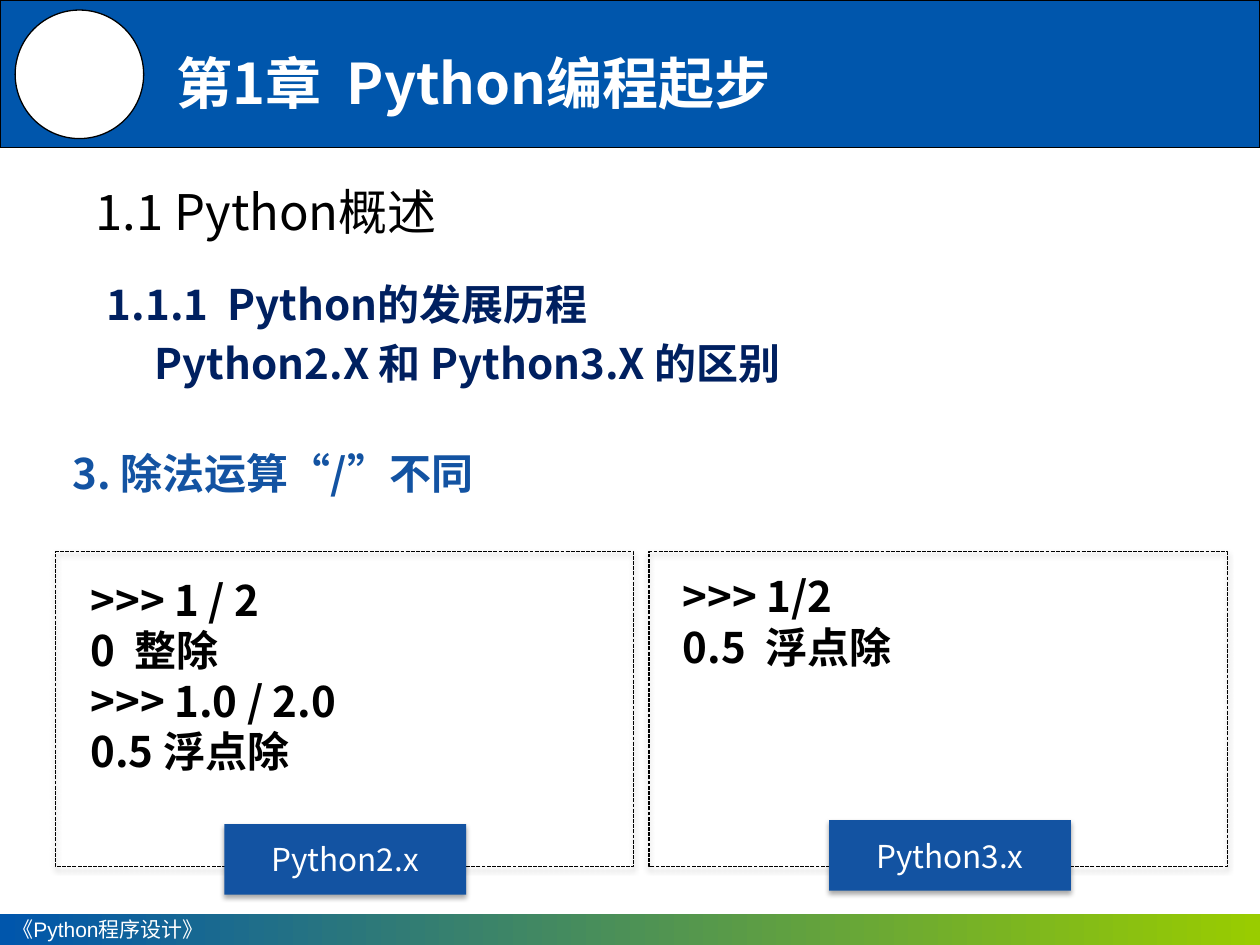
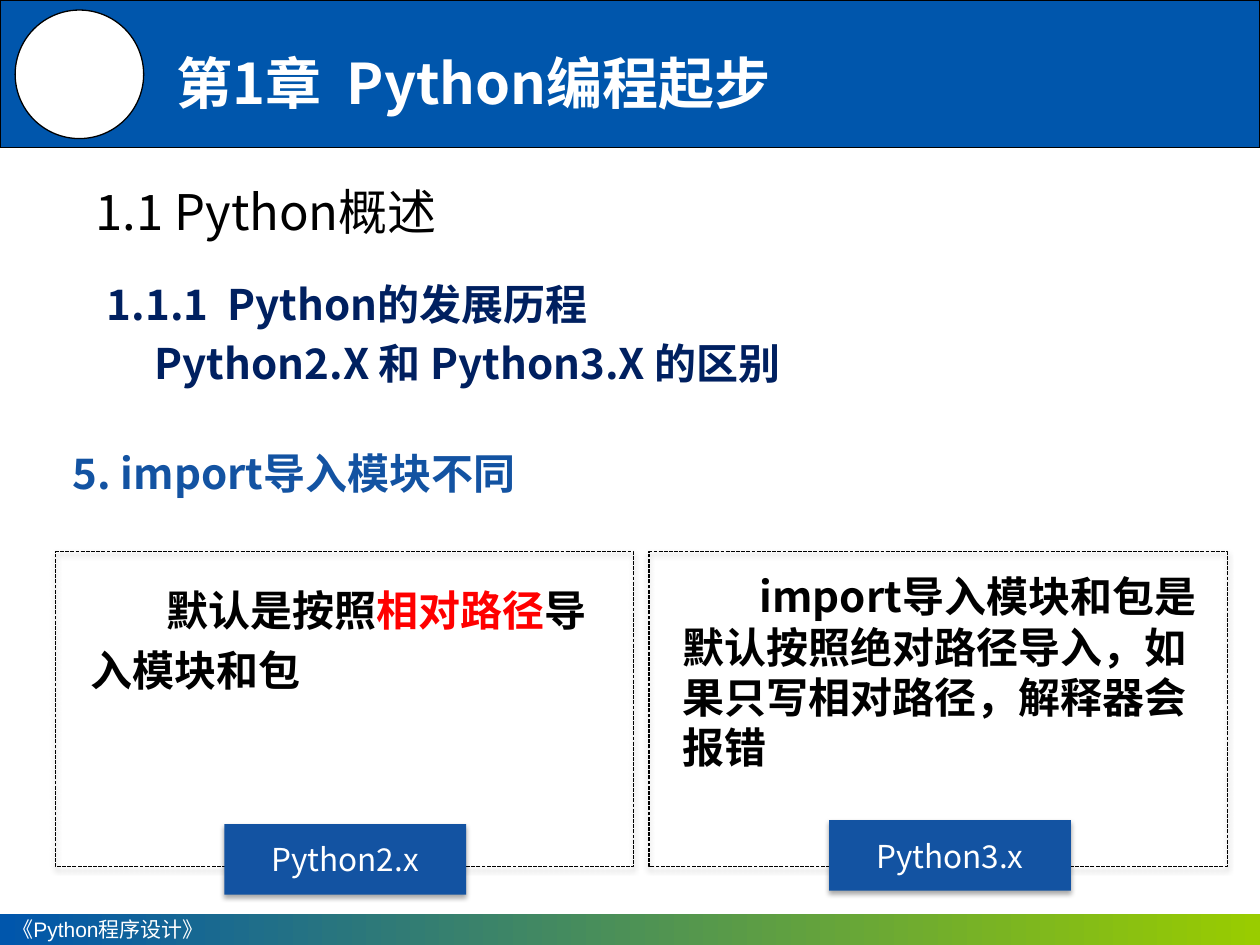
from dataclasses import dataclass

from lxml import etree
from pptx import Presentation
from pptx.dml.color import RGBColor
from pptx.enum.dml import MSO_LINE
from pptx.enum.shapes import MSO_SHAPE
from pptx.enum.text import MSO_ANCHOR, MSO_AUTO_SIZE, PP_ALIGN
from pptx.oxml import parse_xml
from pptx.oxml.ns import qn
from pptx.util import Inches, Pt

RECT, OVAL = MSO_SHAPE.RECTANGLE, MSO_SHAPE.OVAL
LEFT, CENTER = PP_ALIGN.LEFT, PP_ALIGN.CENTER
TOP, MIDDLE = MSO_ANCHOR.TOP, MSO_ANCHOR.MIDDLE
NO_AUTOFIT = MSO_AUTO_SIZE.NONE
DASHED = MSO_LINE.SQUARE_DOT

FONT, FOOTER_FONT = "Noto Sans CJK SC", "Arial"
COLORS = {
    "band": "0056AC",
    "lime": "99CC00",
    "navy": "002060",
    "blue": "1353A2",
    "black": "000000",
    "white": "FFFFFF",
    "red": "FF0000",
}
SHADOW = (
    '<a:effectLst xmlns:a="http://schemas.openxmlformats.org/drawingml/2006/main">'
    '<a:outerShdw blurRad="39370" dist="22860" dir="5400000" rotWithShape="0">'
    '<a:srgbClr val="000000"><a:alpha val="35000"/></a:srgbClr>'
    "</a:outerShdw></a:effectLst>"
)


@dataclass(frozen=True)
class Box:
    left: float
    top: float
    width: float
    height: float

    def lengths(self) -> list:
        return [Inches(v) for v in (self.left, self.top, self.width, self.height)]


@dataclass(frozen=True)
class Style:
    size: float
    color: str
    bold: bool = False
    font: str = FONT


@dataclass(frozen=True)
class Para:
    """A paragraph of (text, colour) pieces; an empty colour means the style's own."""
    pieces: tuple
    margin: float = 0
    indent: float = 0
    line_spacing: object = None
    space_before: float = 0


@dataclass(frozen=True)
class Comparison:
    """What one slide says about the two Python versions."""
    heading: str
    python2: list
    python3: list
    python3_width: float


CHAPTER = Style(32, "white", bold=True)
SECTION = Style(28, "black")
SUBSECTION = Style(24, "navy", bold=True)
HEADING = Style(24, "blue", bold=True)
CONTENT = Style(24, "black", bold=True)
LABEL = Style(18, "white")
FOOTER = Style(12, "white", font=FOOTER_FONT)

PANEL = Box(0.44, 4.38, 4.59, 2.5)
PANEL_STEP = 4.71
LABELS = {"Python2.x": (1.78, 6.54), "Python3.x": (6.58, 6.51)}


def plain(*lines: str) -> list:
    return [Para(((line, ""),)) for line in lines]


COMPARISONS = [
    Comparison(
        "3. 除法运算“/”不同",
        plain(">>> 1 / 2", "0  整除", ">>> 1.0 / 2.0", "0.5 浮点除"),
        plain(">>> 1/2", "0.5  浮点除"),
        4.59,
    ),
    Comparison(
        "5. import导入模块不同",
        [Para((("默认是按照", ""), ("相对路径", "red"), ("导入模块和包", "")),
              indent=0.6, line_spacing=1.2)],
        [Para((("import导入模块和包是默认按照绝对路径导入，如果只写相对路径，解释器会报错", ""),),
              indent=0.61)],
        4.3,
    ),
]


def rgb(name: str) -> RGBColor:
    return RGBColor.from_string(COLORS[name])


def write(sp, paras: list, style: Style, align=LEFT, anchor=TOP, wrap=True) -> None:
    tf = sp.text_frame
    tf.word_wrap = wrap
    tf.auto_size = NO_AUTOFIT
    tf.vertical_anchor = anchor
    for i, para in enumerate(paras):
        p = tf.add_paragraph() if i else tf.paragraphs[0]
        p.alignment = align
        p.space_before = Pt(para.space_before)
        if para.line_spacing:
            p.line_spacing = para.line_spacing
        if para.margin or para.indent:
            p_pr = p._p.get_or_add_pPr()
            p_pr.set("marL", str(Inches(para.margin)))
            p_pr.set("indent", str(Inches(para.indent)))
        for text, color in para.pieces:
            r = p.add_run()
            r.text = text
            r.font.size = Pt(style.size)
            r.font.bold = style.bold
            r.font.name = style.font
            r.font.color.rgb = rgb(color or style.color)
            ea = etree.SubElement(r.font._element, qn("a:ea"))
            ea.set("typeface", style.font)


def add_text(slide, box: Box, paras: list, style: Style, anchor=TOP):
    sp = slide.shapes.add_textbox(*box.lengths())
    write(sp, paras, style, anchor=anchor)
    return sp


def add_block(slide, kind, box: Box, fill: str = "", line: str = "", shadow=False):
    sp = slide.shapes.add_shape(kind, *box.lengths())
    if fill:
        sp.fill.solid()
        sp.fill.fore_color.rgb = rgb(fill)
    else:
        sp.fill.background()
    if line:
        sp.line.color.rgb = rgb(line)
        sp.line.width = Pt(0.75)
    else:
        sp.line.fill.background()
    if shadow:
        sp._element.spPr.append(parse_xml(SHADOW))
    else:
        sp.shadow.inherit = False
    return sp


def add_footer(slide):
    sp = add_block(slide, RECT, Box(0, 7.25, 10, 0.25), "band")
    sp.fill.gradient()
    sp.fill.gradient_angle = 0
    for stop, color in zip(sp.fill.gradient_stops, ("band", "lime")):
        stop.color.rgb = rgb(color)
    write(sp, plain("《Python程序设计》"), FOOTER, anchor=MIDDLE, wrap=False)
    return sp


def furnish_layout(layout, slide) -> None:
    """Draw the shared band, badge, chapter and footer, then hand them to the layout."""
    shared = [
        add_block(slide, RECT, Box(0, 0, 10, 1.17), "band", "black"),
        add_footer(slide),
        add_block(slide, OVAL, Box(0.12, 0.08, 1.02, 1.02), "white", "black"),
        add_text(slide, Box(1.3, 0.15, 6.46, 1), plain("第1章  Python编程起步"),
                 CHAPTER, MIDDLE),
    ]
    for shape_id, sp in enumerate(shared, start=101):
        sp._element.nvSpPr.cNvPr.set("id", str(shape_id))
        layout.shapes.element.append(sp._element)


def fill_slide(slide, comparison: Comparison) -> None:
    title = slide.shapes.title
    title.left, title.top, title.width, title.height = Box(0.66, 1.39, 4.11, 0.63).lengths()
    write(title, [Para((("1.1 Python概述", ""),), margin=0.38, indent=-0.38)], SECTION)

    add_text(slide, Box(0.75, 2.02, 5.78, 5.2), [
        Para((("1.1.1  Python的发展历程", ""),), line_spacing=Pt(39)),
        Para((("Python2.X 和 Python3.X 的区别", ""),), margin=0.38, space_before=4.8),
    ], SUBSECTION)
    add_text(slide, Box(0.48, 3.5, 9.04, 0.5), plain(comparison.heading), HEADING)

    for i in range(2):
        box = Box(PANEL.left + i * PANEL_STEP, PANEL.top, PANEL.width, PANEL.height)
        panel = add_block(slide, RECT, box, line="black", shadow=True)
        panel.line.dash_style = DASHED
    for name, (left, top) in LABELS.items():
        label = add_block(slide, RECT, Box(left, top, 1.92, 0.56), "blue", shadow=True)
        write(label, plain(name), LABEL, CENTER, MIDDLE)

    add_text(slide, Box(5.32, 4.48, comparison.python3_width, 1.72),
             comparison.python3, CONTENT)
    add_text(slide, Box(0.62, 4.51, 4.45, 1.72), comparison.python2, CONTENT)


def main() -> None:
    prs = Presentation()
    prs.slide_width, prs.slide_height = Inches(10), Inches(7.5)
    layout = prs.slide_layouts.get_by_name("Title Only")
    slides = [prs.slides.add_slide(layout) for _ in COMPARISONS]
    furnish_layout(layout, slides[0])
    for slide, comparison in zip(slides, COMPARISONS):
        fill_slide(slide, comparison)
    prs.save("out.pptx")


if __name__ == "__main__":
    main()
